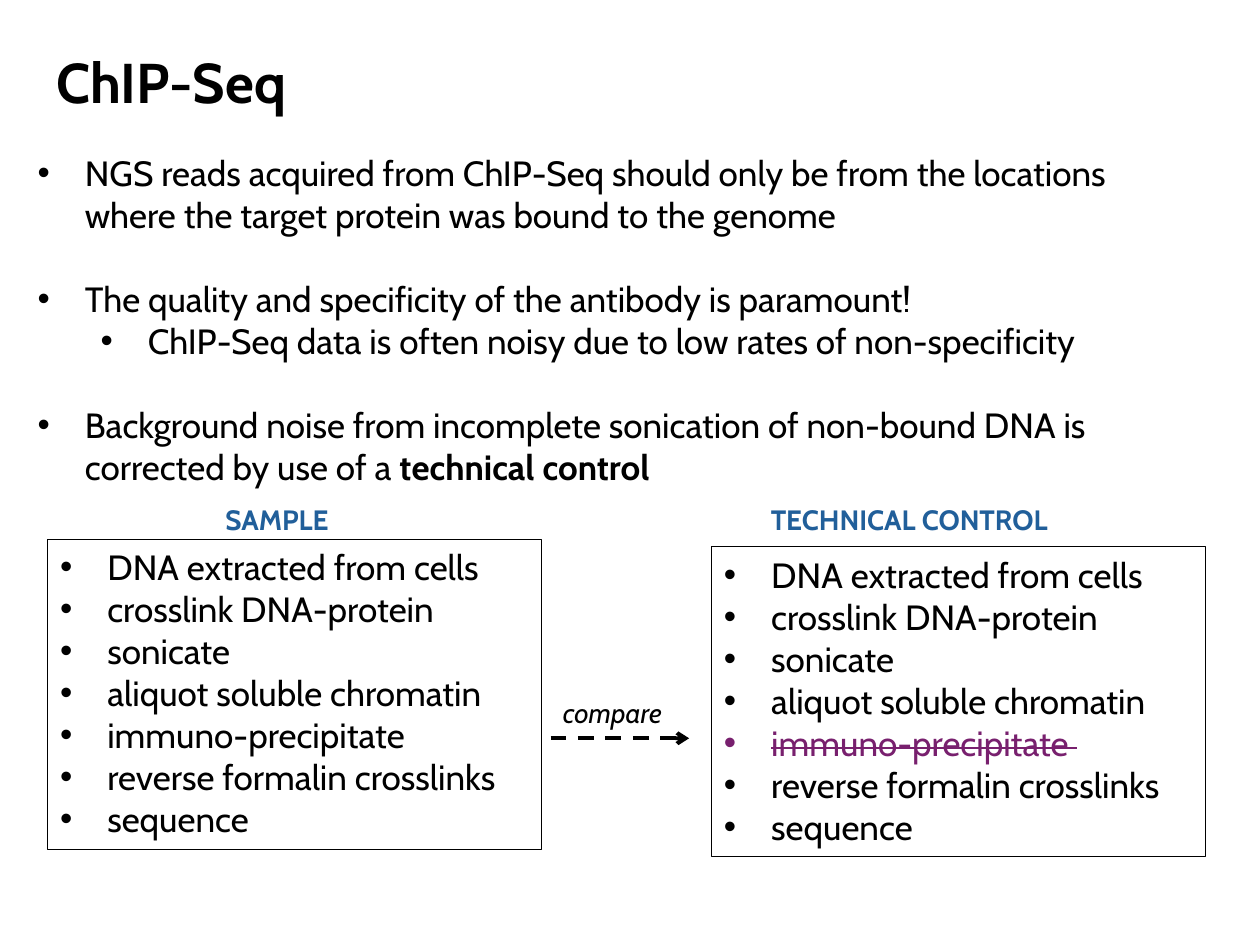
from lxml import etree
from pptx import Presentation
from pptx.dml.color import RGBColor
from pptx.enum import dml, shapes, text
from pptx.oxml import ns
from pptx.util import Pt

FONT = "Cabin"
BLACK, BLUE, PLUM = "000000", "215F9A", "78206E"
INDENT = 27
STEPS = ["DNA extracted from cells", "crosslink DNA-protein", "sonicate",
         "aliquot soluble chromatin", "immuno-precipitate ",
         "reverse formalin crosslinks", "sequence"]
# text, left margin, space before, bold ending
POINTS = [
    ("NGS reads acquired from ChIP-Seq should only be from the locations "
     "where the target protein was bound to the genome", INDENT, 0, ""),
    ("The quality and specificity of the antibody is paramount!", INDENT, 24, ""),
    ("ChIP-Seq data is often noisy due to low rates of non-specificity", 63, 0, ""),
    ("Background noise from incomplete sonication of non-bound DNA is "
     "corrected by use of a ", INDENT, 24, "technical control"),
]


def rgb(code):
    return RGBColor.from_string(code)


def style(para, size, color=BLACK, bold=False, italic=False):
    font = para.font
    font.name, font.size = FONT, Pt(size)
    font.bold, font.italic = bold, italic
    font.color.rgb = rgb(color)


def bullet(para, margin=INDENT):
    props = para._p.get_or_add_pPr()
    props.set("marL", str(Pt(margin)))
    props.set("indent", str(-Pt(INDENT)))
    etree.SubElement(props, ns.qn("a:buFont")).set("typeface", "Arial")
    etree.SubElement(props, ns.qn("a:buChar")).set("char", "•")


def paras(frame, count):
    """Return the frame's first paragraph and as many new ones as needed."""
    return [frame.paragraphs[0]] + [frame.add_paragraph() for _ in range(count - 1)]


def frame(slide, x, y, w, h):
    box = slide.shapes.add_textbox(Pt(x), Pt(y), Pt(w), Pt(h)).text_frame
    box.word_wrap = True
    return box


def label(slide, x, y, w, h, words, size, **look):
    box = frame(slide, x, y, w, h)
    para = box.paragraphs[0]
    para.add_run().text = words
    style(para, size, **look)
    return box


def title(slide, words):
    box = label(slide, 25.2, -13.7, 674.6, 83.5, words, 32, bold=True)
    box.vertical_anchor = text.MSO_ANCHOR.BOTTOM
    box.paragraphs[0].line_spacing = 0.9


def body(slide):
    box = frame(slide, 14.4, 82.8, 657.4, 200.9)
    for para, (words, margin, gap, end) in zip(paras(box, len(POINTS)), POINTS):
        bullet(para, margin)
        para.level = int(margin > INDENT)
        if gap:
            para.space_before = Pt(gap)
        style(para, 20)
        para.add_run().text = words
        if end:
            run = para.add_run()
            run.text, run.font.bold = end, True


def steps(slide, x, y, struck=None):
    """Draw a framed list of the steps, with one of them struck out."""
    rect = slide.shapes.add_shape(shapes.MSO_SHAPE.RECTANGLE,
                                  Pt(x), Pt(y), Pt(282.2), Pt(177.1))
    rect.shadow.inherit = False
    rect.fill.background()
    rect.line.color.rgb = rgb(BLACK)
    rect.line.width = Pt(0.75)
    box = rect.text_frame
    box.word_wrap = True
    box.vertical_anchor = text.MSO_ANCHOR.TOP
    for i, (para, words) in enumerate(zip(paras(box, len(STEPS)), STEPS)):
        out = i == struck
        para.alignment = text.PP_ALIGN.LEFT
        bullet(para)
        style(para, 20, PLUM if out else BLACK)
        run = para.add_run()
        run.text = words if out else words.strip()
        if out:
            run._r.get_or_add_rPr().set("strike", "sngStrike")


def arrow(slide, x, y, end):
    link = slide.shapes.add_connector(shapes.MSO_CONNECTOR.STRAIGHT,
                                      Pt(x), Pt(y), Pt(end), Pt(y))
    link.line.color.rgb = rgb(BLACK)
    link.line.width = Pt(2.25)
    link.line.dash_style = dml.MSO_LINE.DASH
    etree.SubElement(link.line._get_or_add_ln(), ns.qn("a:tailEnd")).set("type", "arrow")
    etree.SubElement(link._element.spPr, ns.qn("a:effectLst"))


def main():
    deck = Presentation()
    deck.slide_width, deck.slide_height = Pt(720), Pt(540)
    slide = deck.slides.add_slide(deck.slide_layouts[6])
    title(slide, "ChIP-Seq")
    body(slide)
    steps(slide, 27.2, 308.2)
    steps(slide, 406.6, 312.5, struck=4)
    arrow(slide, 314.6, 421.9, 393.8)
    label(slide, 314.6, 393.8, 79.2, 26.6, "compare", 16, italic=True)
    label(slide, 121.7, 283.7, 113, 26.6, "SAMPLE", 16, color=BLUE, bold=True)
    label(slide, 433.4, 283.7, 226.8, 26.6, "TECHNICAL CONTROL", 16,
          color=BLUE, bold=True)
    deck.save("out.pptx")


if __name__ == "__main__":
    main()
